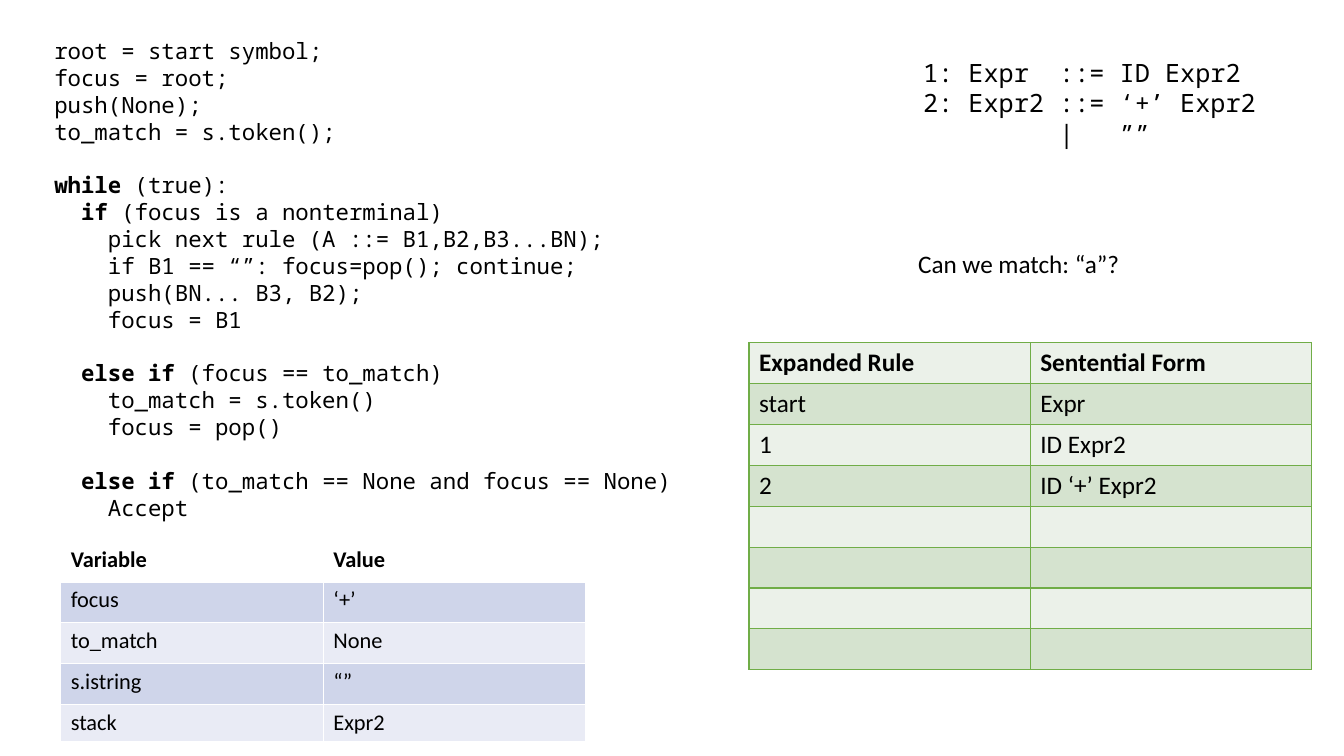
from dataclasses import dataclass

import pptx
import pptx.dml.color
import pptx.util
from lxml import etree
from pptx.oxml.ns import qn

Pt = pptx.util.Pt


@dataclass(frozen=True)
class Theme:
    body_font: str = "Calibri"
    code_font: str = "Noto Sans Mono"
    large: float = 18
    small: float = 16
    line_factor: float = 1.2
    ink: str = "000000"
    white: str = "FFFFFF"
    green: str = "70AD47"
    green_bands: tuple[str, str] = ("D5E3CF", "EBF1E9")
    blue_bands: tuple[str, str] = ("CFD5EA", "E9EBF5")


THEME = Theme()


@dataclass(frozen=True)
class Line:
    text: str
    keyword: str = ""
    indent: int = 0
    gap: bool = False  # one empty line's worth of space above


@dataclass(frozen=True)
class TextBlock:
    left: float
    top: float
    width: float
    height: float
    lines: list[Line]
    font: str
    size: float
    wrap: bool = False


@dataclass(frozen=True)
class Grid:
    left: float
    top: float
    column_width: float
    row_heights: list[float]
    rows: list[tuple[str, str]]
    size: float
    header_fill: str
    bands: tuple[str, str]
    border: str
    header_rule: float = 1


PARSER_CODE = [
    Line("root = start symbol;"),
    Line("focus = root;"),
    Line("push(None);"),
    Line("to_match = s.token();"),
    Line(" (true):", "while", gap=True),
    Line(" (focus is a nonterminal)", "if", 2),
    Line("pick next rule (A ::= B1,B2,B3...BN);", indent=4),
    Line("if B1 == “”: focus=pop(); continue;", indent=4),
    Line("push(BN... B3, B2);", indent=4),
    Line("focus = B1", indent=4),
    Line(" (focus == to_match)", "else if", 2, gap=True),
    Line("to_match = s.token()", indent=4),
    Line("focus = pop()", indent=4),
    Line(" (to_match == None and focus == None)", "else if", 2, gap=True),
    Line("Accept", indent=4),
]
GRAMMAR = [
    Line("1: Expr  ::= ID Expr2"),
    Line("2: Expr2 ::= ‘+’ Expr2"),
    Line("|   ””", indent=9),
]

TEXT_BLOCKS = [
    TextBlock(31.7, 23, 471.6, 414.7, PARSER_CODE, THEME.code_font, THEME.small),
    TextBlock(652.3, 37.5, 308, 72.7, GRAMMAR, THEME.code_font, THEME.large, wrap=True),
    TextBlock(648.7, 173.5, 159.8, 28.8, [Line("Can we match: “a”?")],
              THEME.body_font, THEME.large),
]

DERIVATION = Grid(
    535, 244.8, 200.9, [29.2] * 8,
    [("Expanded Rule", "Sentential Form"), ("start", "Expr"), ("1", "ID Expr2"),
     ("2", "ID ‘+’ Expr2")] + [("", "")] * 4,
    THEME.large, THEME.green_bands[1], THEME.green_bands, THEME.green)
PARSER_STATE = Grid(
    43.4, 386.2, 187.6, [29.2] * 4 + [26.5],
    [("Variable", "Value"), ("focus", "‘+’"), ("to_match", "None"),
     ("s.istring", "“”"), ("stack", "Expr2")],
    THEME.small, THEME.white, THEME.blue_bands, THEME.white, header_rule=3)


def add_span(para, text: str, font: str, size: float, bold: bool = False) -> None:
    span = para.add_run()
    span.text = text
    span.font.name = font
    span.font.size = Pt(size)
    span.font.bold = bold
    span.font.color.rgb = pptx.dml.color.RGBColor.from_string(THEME.ink)


def add_text_block(page, block: TextBlock) -> None:
    box = page.shapes.add_textbox(
        Pt(block.left), Pt(block.top), Pt(block.width), Pt(block.height))
    frame = box.text_frame
    frame.word_wrap = block.wrap
    pitch = Pt(block.size * THEME.line_factor)
    for index, line in enumerate(block.lines):
        para = frame.add_paragraph() if index else frame.paragraphs[0]
        if block.font == THEME.code_font:
            para.line_spacing = pitch
        if line.gap:
            para.space_before = pitch
        if line.keyword:
            add_span(para, " " * line.indent + line.keyword, block.font, block.size, True)
            add_span(para, line.text, block.font, block.size)
        else:
            add_span(para, " " * line.indent + line.text, block.font, block.size)


def set_border(cell, side: str, width: float, colour: str) -> None:
    properties = cell._tc.get_or_add_tcPr()
    edge = etree.SubElement(properties, qn(f"a:ln{side}"), w=str(Pt(width)))
    fill = etree.SubElement(edge, qn("a:solidFill"))
    etree.SubElement(fill, qn("a:srgbClr"), val=colour)


def add_grid(page, grid: Grid) -> None:
    table = page.shapes.add_table(
        len(grid.rows), 2, Pt(grid.left), Pt(grid.top),
        Pt(2 * grid.column_width), Pt(sum(grid.row_heights))).table
    table.horz_banding = False
    for column in table.columns:
        column.width = Pt(grid.column_width)
    for row, values in enumerate(grid.rows):
        table.rows[row].height = Pt(grid.row_heights[row])
        colour = grid.bands[(row - 1) % 2] if row else grid.header_fill
        for column, value in enumerate(values):
            cell = table.cell(row, column)
            widths = {"L": 1, "R": 1,
                      "T": grid.header_rule if row == 1 else 1,
                      "B": grid.header_rule if row == 0 else 1}
            for side, width in widths.items():
                set_border(cell, side, width, grid.border)
            cell.fill.solid()
            cell.fill.fore_color.rgb = pptx.dml.color.RGBColor.from_string(colour)
            if value:
                add_span(cell.text_frame.paragraphs[0], value,
                         THEME.body_font, grid.size, row == 0)


def main() -> None:
    deck = pptx.Presentation()
    deck.slide_width, deck.slide_height = Pt(960), Pt(540)
    page = deck.slides.add_slide(deck.slide_layouts[6])  # blank: no title here

    # Code, grammar and question
    for block in TEXT_BLOCKS:
        add_text_block(page, block)

    # Derivation steps and parser state
    for grid in (DERIVATION, PARSER_STATE):
        add_grid(page, grid)

    deck.save("out.pptx")


if __name__ == "__main__":
    main()
